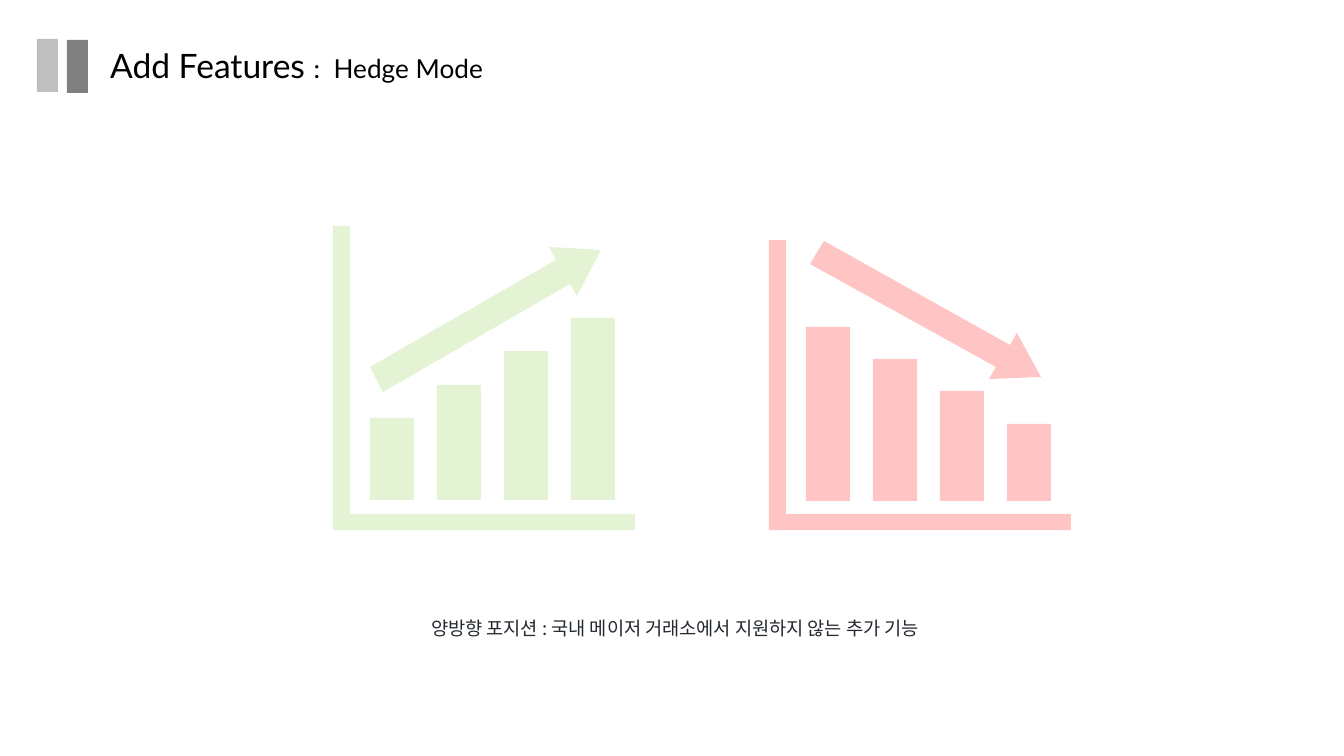
from lxml.etree import SubElement
from pptx import Presentation
from pptx.dml.color import RGBColor
from pptx.enum.shapes import MSO_SHAPE
from pptx.enum.text import MSO_AUTO_SIZE
from pptx.oxml.ns import qn
from pptx.util import Pt

EMU_PER_PX = 914400 / 134.4
BAR_WIDTH, BAR_STEP, FIRST_BAR_OFFSET = 44, 67, 37
AXIS_WIDTH, AXIS_LENGTH, AXIS_THICKNESS = 302, 17, 16


def px(length):
    return round(length * EMU_PER_PX)


def paint(shape, color, opacity=100):
    """Fill a shape with one colour, without line or shadow."""
    shape.shadow.inherit = False
    shape.line.fill.background()
    shape.fill.solid()
    shape.fill.fore_color.rgb = RGBColor.from_string(color)
    if opacity < 100:
        srgb = shape.fill._xPr.find(f"{qn('a:solidFill')}/{qn('a:srgbClr')}")
        SubElement(srgb, qn("a:alpha"), val=str(opacity * 1000))


def add_block(slide, left, top, width, height, color):
    block = slide.shapes.add_shape(
        MSO_SHAPE.RECTANGLE, px(left), px(top), px(width), px(height))
    paint(block, color)


def add_label(slide, left, top, width, height, runs, font_name, color):
    """Add a one-line text; runs are pairs of wording and point size."""
    label = slide.shapes.add_textbox(px(left), px(top), px(width), px(height))
    frame = label.text_frame
    frame.word_wrap = True
    frame.auto_size = MSO_AUTO_SIZE.SHAPE_TO_FIT_TEXT
    for wording, size in runs:
        run = frame.paragraphs[0].add_run()
        run.text = wording
        run.font.size = Pt(size)
        run.font.name = font_name
        run.font.color.rgb = RGBColor.from_string(color)
        SubElement(run.font._element, qn("a:ea"), typeface=font_name)


def bar_outline(left, top, bottom):
    right = left + BAR_WIDTH
    return [(left, top), (right, top), (right, bottom), (left, bottom)]


def axis_outline(left, top, bottom):
    inner_left, inner_bottom = left + AXIS_LENGTH, bottom - AXIS_THICKNESS
    right = left + AXIS_WIDTH
    return [(left, top), (inner_left, top), (inner_left, inner_bottom),
            (right, inner_bottom), (right, bottom), (left, bottom)]


def add_trend_icon(slide, left, top, bottom, bar_tops, bar_bottom, arrow,
                   color, opacity):
    """Draw bars, arrow and axes as the contours of one freeform."""
    bars = [bar_outline(left + FIRST_BAR_OFFSET + i * BAR_STEP, bar_top, bar_bottom)
            for i, bar_top in enumerate(bar_tops)]
    first, *others = bars + [arrow, axis_outline(left, top, bottom)]
    builder = slide.shapes.build_freeform(*first[0], scale=EMU_PER_PX)
    builder.add_line_segments(first[1:], close=True)
    for outline in others:
        builder.move_to(*outline[0])
        builder.add_line_segments(outline[1:], close=True)
    paint(builder.convert_to_shape(), color, opacity)


def main():
    deck = Presentation()
    deck.slide_width, deck.slide_height = px(1344), px(756)
    slide = deck.slides.add_slide(deck.slide_layouts[6])

    add_block(slide, 37, 39, 21, 53, "BFBFBF")
    add_block(slide, 67, 40, 21, 53, "808080")
    add_label(slide, 97, 38, 672, 54,
              [("Add Features ", 18), (":  Hedge Mode", 14)], "Lato", "000000")

    rising_arrow = [(549, 247), (601, 250), (577, 296), (570, 284),
                    (383, 392), (370, 367), (556, 260)]
    falling_arrow = [(824, 241), (1010, 345), (1017, 333), (1041, 377),
                     (989, 379), (996, 367), (810, 264)]
    add_trend_icon(slide, 333, 226, 530, [418, 385, 351, 318], 500,
                   rising_arrow, "92D050", 25)
    add_trend_icon(slide, 769, 240, 530, [327, 359, 391, 424], 501,
                   falling_arrow, "FF0000", 23)

    add_label(slide, 418, 610, 577, 36,
              [("양방향 포지션 : 국내 메이저 거래소에서 지원하지 않는 추가 기능", 10)],
              "Noto Sans CJK KR", "24292F")
    deck.save("out.pptx")


if __name__ == "__main__":
    main()
